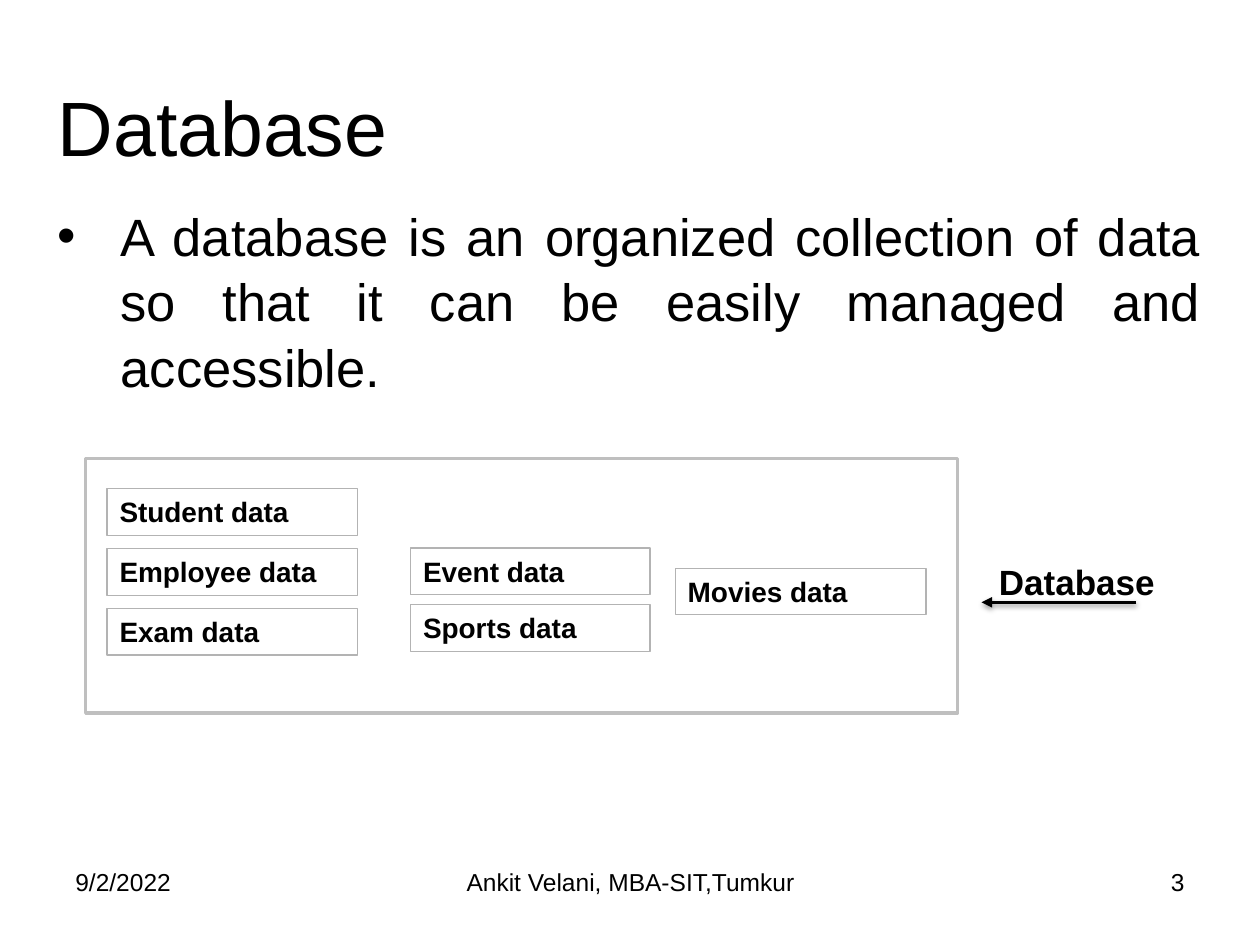
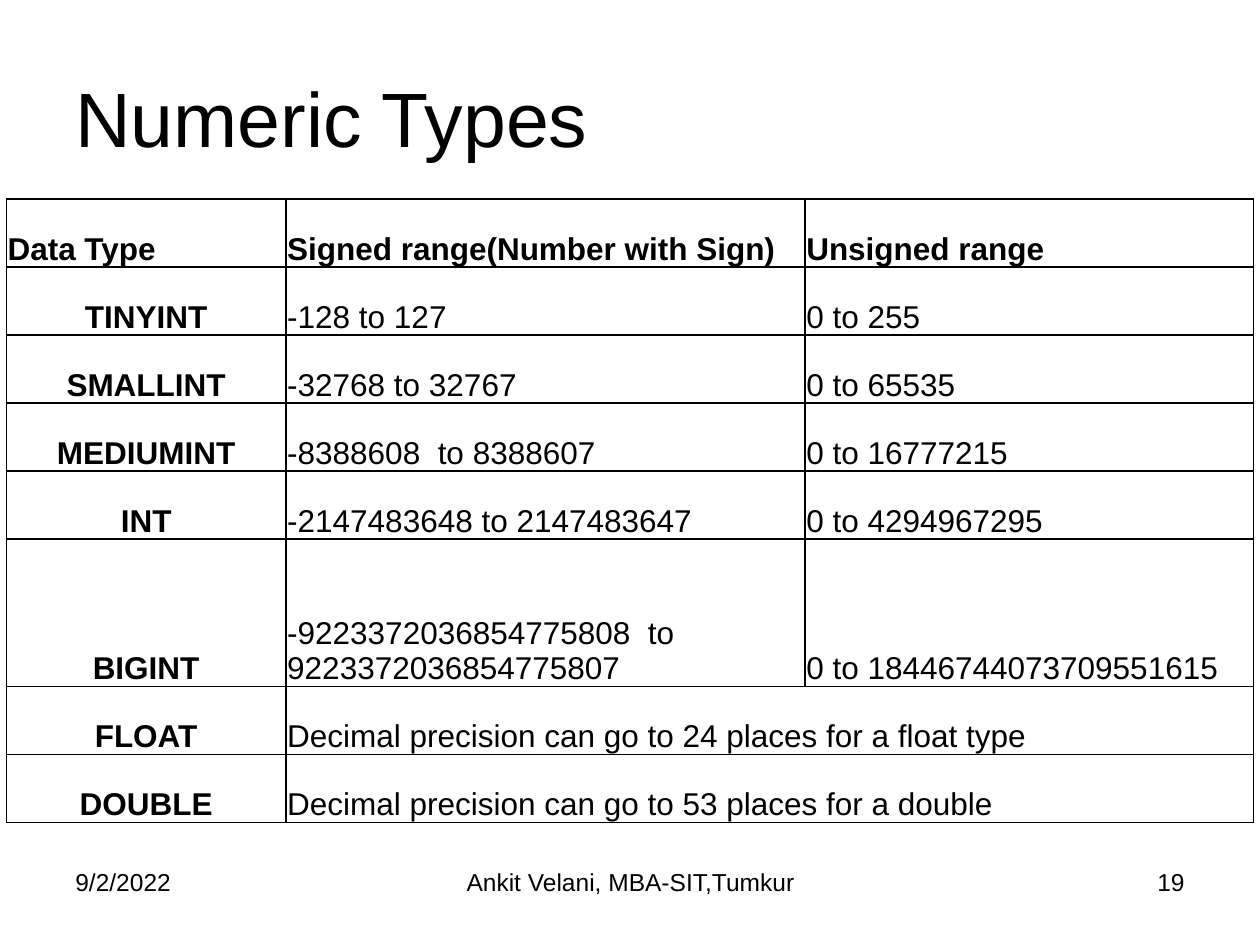
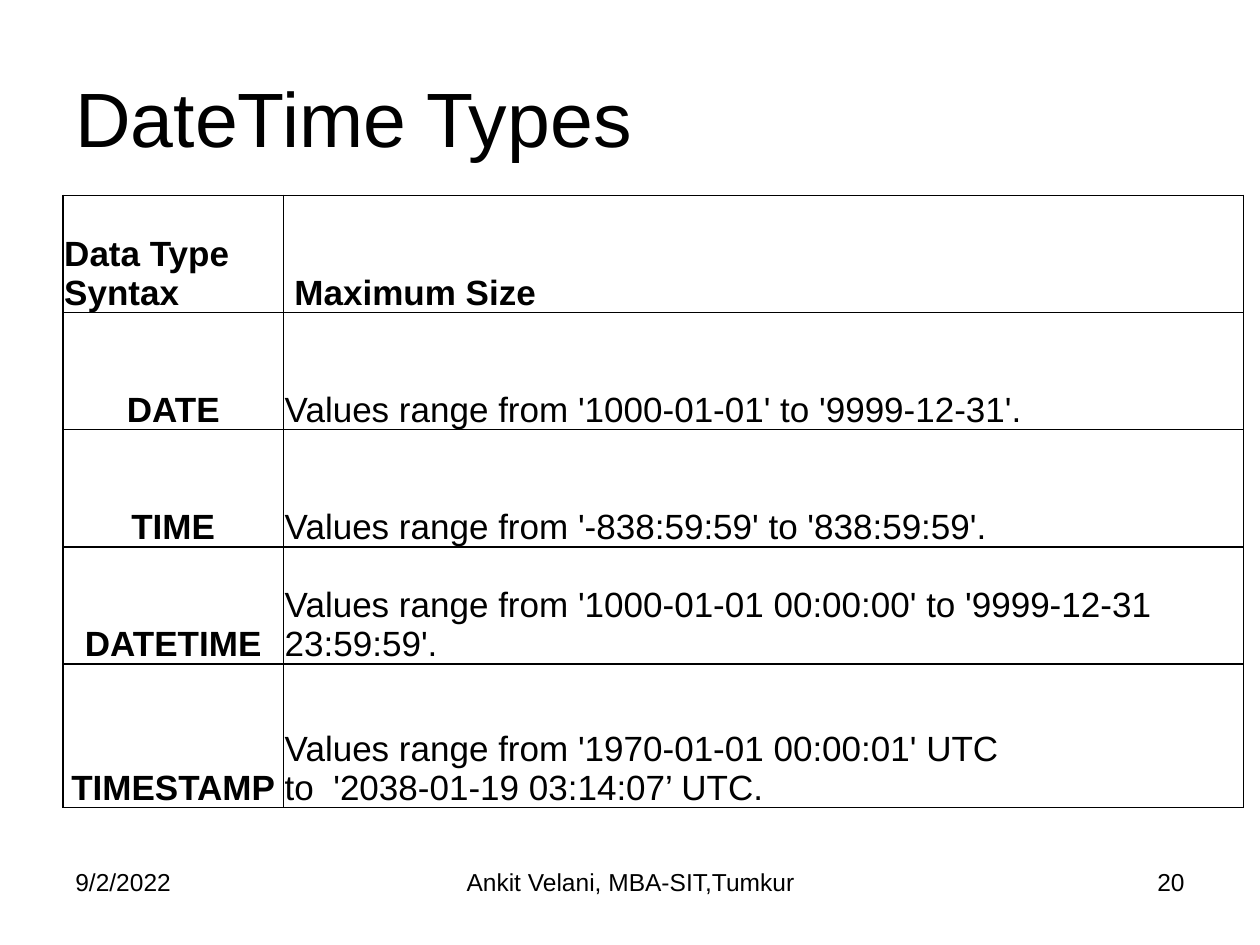
"""Build three slides on databases and column types."""
from lxml import etree
from pptx import Presentation
from pptx.dml.color import RGBColor
from pptx.enum.shapes import MSO_CONNECTOR, MSO_SHAPE
from pptx.enum.text import MSO_ANCHOR, PP_ALIGN
from pptx.oxml import parse_xml
from pptx.oxml.ns import nsdecls, qn
from pptx.util import Inches, Pt

LEFT, MID, RIGHT, FULL = PP_ALIGN.LEFT, PP_ALIGN.CENTER, PP_ALIGN.RIGHT, PP_ALIGN.JUSTIFY
TOP, CENTER, BASE = MSO_ANCHOR.TOP, MSO_ANCHOR.MIDDLE, MSO_ANCHOR.BOTTOM
RECT, LINE = MSO_SHAPE.RECTANGLE, MSO_CONNECTOR.STRAIGHT

BLACK, GREY, PALE = "000000", "BFBFBF", "B3B3B3"
FONT = "Arial"
DATE, AUTHOR = "9/2/2022", "Ankit Velani, MBA-SIT,Tumkur"

STORES = [
    (0.85, 3.88, 1.99, 0.475, ["Student data", "Employee data", "Exam data"]),
    (3.26, 4.35, 1.9, 0.45, ["Event data", "Sports data"]),
    (5.36, 4.51, 1.99, 0, ["Movies data"]),
]
NUMBERS = [
    ["Data Type", "Signed range(Number with Sign)", "Unsigned range"],
    ["TINYINT", "-128 to 127", "0 to 255"],
    ["SMALLINT", "-32768 to 32767", "0 to 65535"],
    ["MEDIUMINT", "-8388608  to 8388607", "0 to 16777215"],
    ["INT", "-2147483648 to 2147483647", "0 to 4294967295"],
    ["BIGINT", "-9223372036854775808  to 9223372036854775807", "0 to 18446744073709551615"],
    ["FLOAT", "Decimal precision can go to 24 places for a float type"],
    ["DOUBLE", "Decimal precision can go to 53 places for a double"],
]
DATES = [
    ["Data Type Syntax", " Maximum Size"],
    ["DATE", "Values range from '1000-01-01' to '9999-12-31'."],
    ["TIME", "Values range from '-838:59:59' to '838:59:59'."],
    ["DATETIME", "Values range from '1000-01-01 00:00:00' to '9999-12-31 23:59:59'."],
    ["TIMESTAMP", "Values range from '1970-01-01 00:00:01' UTC\nto  '2038-01-19 03:14:07’ UTC."],
]


def paint(code):
    """Return the colour for a hex string."""
    return RGBColor.from_string(code)


def write(frame, text, size=16, bold=False, align=LEFT, anchor=TOP, space=None, before=0):
    """Fill a text frame, one paragraph for each line."""
    frame.word_wrap = True
    frame.vertical_anchor = anchor
    for spot, line in enumerate(text.split("\n")):
        para = frame.add_paragraph() if spot else frame.paragraphs[0]
        para.alignment, para.line_spacing, para.space_before = align, space, Pt(before)
        run = para.add_run()
        run.text = line
        run.font.name, run.font.size, run.font.bold = FONT, Pt(size), bold
        run.font.color.rgb = paint(BLACK)


class Deck:
    """Hold the style and the current slide."""

    def __init__(self):
        """Start an empty deck."""
        self.deck = Presentation()
        self.deck.slide_width, self.deck.slide_height = Inches(10), Inches(7.5)

    def page(self, title, number, left=0.5, top=0.3):
        """Add a slide with its title and footer."""
        self.slide = self.deck.slides.add_slide(self.deck.slide_layouts[6])
        self.text(title, left, top, 9, 1.25, size=44, anchor=CENTER)
        self.text(DATE, 0.5, 6.83, 2.33, 0.52, size=14)
        self.text(AUTHOR, 3.42, 6.83, 3.17, 0.52, size=14, align=MID)
        self.text(str(number), 7.17, 6.83, 2.33, 0.52, size=14, align=RIGHT)

    def text(self, text, left, top, width, height, **form):
        """Add a text box."""
        box = self.slide.shapes.add_textbox(
            Inches(left), Inches(top), Inches(width), Inches(height))
        write(box.text_frame, text, **form)
        return box

    def point(self, text, left, top, width, height, **form):
        """Add a text box with a hanging bullet."""
        box = self.text(text, left, top, width, height, **form)
        for para in box.text_frame.paragraphs:
            prop = para._p.get_or_add_pPr()
            prop.set("marL", str(Inches(0.5)))
            prop.set("indent", str(-Inches(0.5)))
            etree.SubElement(prop, qn("a:buFont")).set("typeface", FONT)
            etree.SubElement(prop, qn("a:buChar")).set("char", "•")

    def box(self, left, top, width, height, line, weight, text="", **form):
        """Add an outlined rectangle."""
        box = self.slide.shapes.add_shape(
            RECT, Inches(left), Inches(top), Inches(width), Inches(height))
        box.shadow.inherit = False
        box.fill.background()
        box.line.color.rgb, box.line.width = paint(line), Pt(weight)
        if text:
            write(box.text_frame, text, **form)

    def arrow(self, start, end, level):
        """Add a level arrow with a soft shadow."""
        link = self.slide.shapes.add_connector(
            LINE, Inches(start), Inches(level), Inches(end), Inches(level))
        link.line.color.rgb, link.line.width = paint(BLACK), Pt(2)
        etree.SubElement(link.line._get_or_add_ln(), qn("a:tailEnd")).set("type", "triangle")
        link._element.spPr.append(parse_xml(
            f'<a:effectLst {nsdecls("a")}><a:outerShdw blurRad="{Pt(3.1)}" dist="{Pt(1.6)}" '
            f'dir="5400000" rotWithShape="0"><a:srgbClr val="{BLACK}"><a:alpha val="38000"/>'
            '</a:srgbClr></a:outerShdw></a:effectLst>'))

    def table(self, rows, left, top, widths, heights, size):
        """Add a ruled table; a short row spans to the right edge."""
        grid = self.slide.shapes.add_table(
            len(rows), len(widths), Inches(left), Inches(top),
            Inches(sum(widths)), Inches(sum(heights))).table
        grid.first_row = grid.horz_banding = False
        for col, width in zip(grid.columns, widths):
            col.width = Inches(width)
        for y, (row, height) in enumerate(zip(rows, heights)):
            grid.rows[y].height = Inches(height)
            if len(row) < len(widths):
                grid.cell(y, len(row) - 1).merge(grid.cell(y, len(widths) - 1))
            for x in range(len(widths)):
                self.rule(grid.cell(y, x))
            for x, text in enumerate(row):
                write(grid.cell(y, x).text_frame, text, size=size,
                      bold=not (x and y), align=MID if y and not x else LEFT)

    def rule(self, cell):
        """Give a cell black borders, tight margins and no fill."""
        cell.margin_left = cell.margin_right = cell.margin_top = Inches(0.01)
        cell.margin_bottom = 0
        cell.vertical_anchor = BASE
        for side in "LRTB":
            cell._tc.get_or_add_tcPr().append(parse_xml(
                f'<a:ln{side} {nsdecls("a")} w="{Pt(1)}"><a:solidFill>'
                f'<a:srgbClr val="{BLACK}"/></a:solidFill></a:ln{side}>'))
        cell.fill.background()


def main():
    """Build and save the deck."""
    deck = Deck()

    deck.page("Database", 3, left=0.36, top=0.37)
    deck.point("A database is an organized collection of data so that it can be "
               "easily managed and accessible.", 0.36, 1.55, 9.27, 4.95,
               size=30, align=FULL, space=1.04, before=2)
    deck.box(0.68, 3.64, 6.92, 2.02, GREY, 2)
    for left, top, width, step, names in STORES:
        for spot, name in enumerate(names):
            deck.box(left, top + spot * step, width, 0.37, PALE, 0.75, name, bold=True)
    deck.text("Database", 7.83, 4.4, 1.94, 0.44, size=20, bold=True)
    deck.arrow(9.02, 7.79, 4.78)

    deck.page("Numeric Types", 19)
    deck.table(NUMBERS, 0.05, 1.58, [2.22, 4.12, 3.56], [0.54] * 5 + [1.17] + [0.54] * 2, 18)

    deck.page("DateTime Types", 20)
    deck.table(DATES, 0.5, 1.55, [1.75, 7.62], [0.93] * 4 + [1.14], 20)

    deck.deck.save("out.pptx")


if __name__ == "__main__":
    main()
